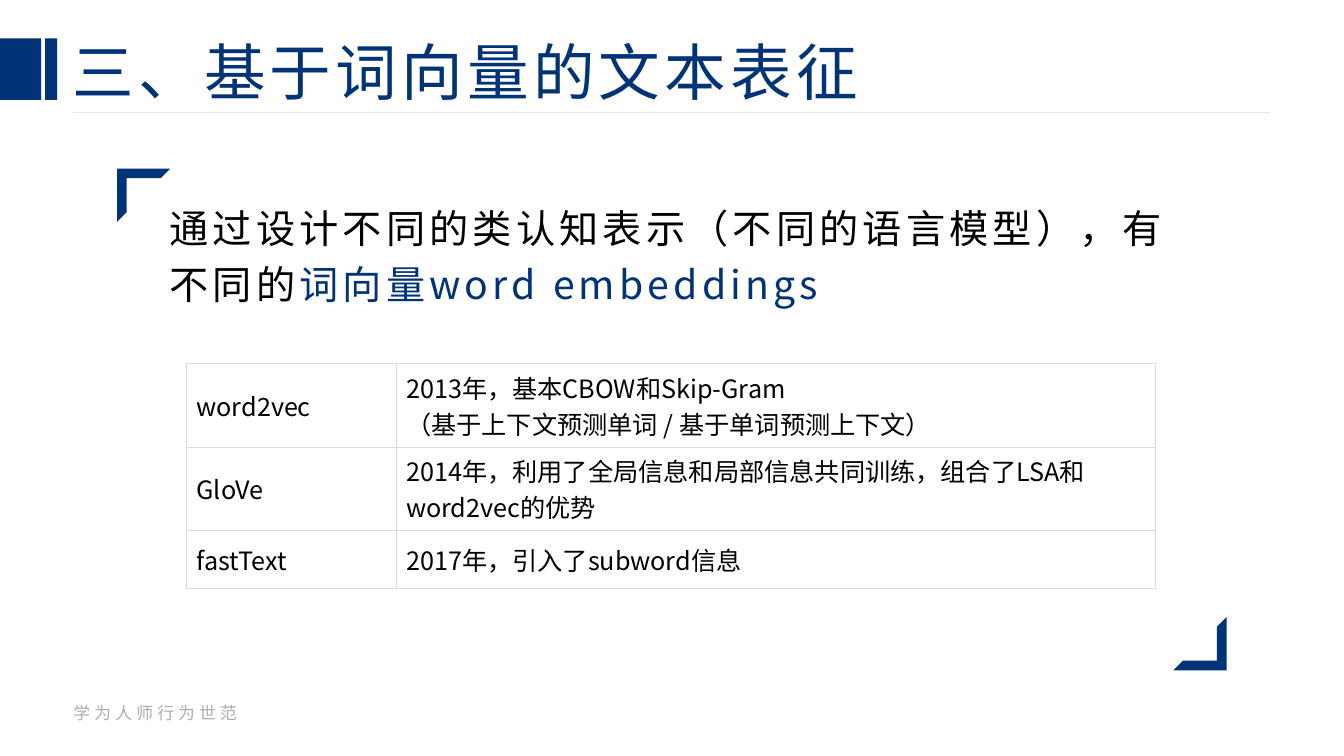
from lxml import etree
from pptx import Presentation
from pptx.dml.color import RGBColor
from pptx.enum.shapes import MSO_CONNECTOR, MSO_SHAPE
from pptx.enum.text import MSO_ANCHOR, MSO_AUTO_SIZE, PP_ALIGN
from pptx.oxml.ns import qn
from pptx.util import Cm, Pt

NAVY = RGBColor(0x00, 0x33, 0x78)
BLACK = RGBColor(0x00, 0x00, 0x00)
GRAY = RGBColor(0xAD, 0xAD, 0xAD)
RULE = RGBColor(0xE4, 0xE6, 0xEA)
BORDER = RGBColor(0xDB, 0xDB, 0xDB)
RECTANGLE = MSO_SHAPE.RECTANGLE
HALF_FRAME = MSO_SHAPE.HALF_FRAME
STRAIGHT = MSO_CONNECTOR.STRAIGHT
TOP, MIDDLE = MSO_ANCHOR.TOP, MSO_ANCHOR.MIDDLE
FIXED = MSO_AUTO_SIZE.NONE
LEFT = PP_ALIGN.LEFT

MODELS = [
    ("word2vec", ["2013年，基本CBOW和Skip-Gram", "（基于上下文预测单词 / 基于单词预测上下文）"]),
    ("GloVe", ["2014年，利用了全局信息和局部信息共同训练，组合了LSA和word2vec的优势"]),
    ("fastText", ["2017年，引入了subword信息"]),
]


class SlideBuilder:
    typeface = "Noto Sans CJK SC"

    def __init__(self, page):
        self.page = page

    def style(self, para, size, color, spacing=0):
        font = para.font
        font.name, font.size, font.color.rgb = self.typeface, Pt(size), color
        properties = font._element
        etree.SubElement(properties, qn("a:ea"), typeface=self.typeface)
        if spacing:
            properties.set("spc", str(spacing * 100))

    def frame(self, box, anchor):
        frame = box.text_frame
        frame.word_wrap = True
        frame.auto_size = FIXED
        frame.vertical_anchor = anchor
        frame.margin_left = frame.margin_right = 0
        frame.margin_top = frame.margin_bottom = 0
        return frame.paragraphs[0]

    def place(self, box, left, top, width, height):
        box.left, box.top = Cm(left), Cm(top)
        box.width, box.height = Cm(width), Cm(height)

    def title(self, text, *area):
        box = self.page.shapes.title
        self.place(box, *area)
        para = self.frame(box, MIDDLE)
        para.text = text
        para.alignment = LEFT
        para.line_spacing = 0.9
        self.style(para, 44, NAVY, spacing=3)

    def body(self, text, highlight, *area):
        box = self.page.placeholders[1]
        self.place(box, *area)
        para = self.frame(box, TOP)
        para.line_spacing = 1.2
        para.space_before = Pt(0)
        properties = para._p.get_or_add_pPr()
        properties.set("marL", "0")
        properties.set("indent", "0")
        etree.SubElement(properties, qn("a:buNone"))
        self.style(para, 28, BLACK, spacing=3)
        para.add_run().text = text
        span = para.add_run()
        span.text = highlight
        span.font.color.rgb = NAVY

    def footer(self, text, *area):
        box = self.page.shapes.add_textbox(*map(Cm, area))
        para = self.frame(box, TOP)
        para.text = text
        self.style(para, 12, GRAY, spacing=3)

    def shape(self, preset, *area):
        shape = self.page.shapes.add_shape(preset, *map(Cm, area))
        shape.shadow.inherit = False
        shape.fill.solid()
        shape.fill.fore_color.rgb = NAVY
        shape.line.fill.background()
        return shape

    def corner(self, left, top, rotation):
        shape = self.shape(HALF_FRAME, left, top, 1.34, 1.34)
        shape.adjustments[0] = shape.adjustments[1] = 0.18
        shape.rotation = rotation

    def rule(self, left, right, top):
        line = self.page.shapes.add_connector(STRAIGHT, Cm(left), Cm(top), Cm(right), Cm(top))
        line.line.color.rgb = RULE
        line.line.width = Pt(0.5)
        etree.SubElement(line._element.spPr, qn("a:effectLst"))

    def cell(self, cell, lines):
        cell.vertical_anchor = MIDDLE
        cell.text = "\n".join(lines)
        for para in cell.text_frame.paragraphs:
            self.style(para, 18, BLACK)
        properties = cell._tc.get_or_add_tcPr()
        for side in ("lnL", "lnR", "lnT", "lnB"):
            edge = etree.SubElement(properties, qn(f"a:{side}"), w=str(Pt(0.75)))
            fill = etree.SubElement(edge, qn("a:solidFill"))
            etree.SubElement(fill, qn("a:srgbClr"), val=str(BORDER))
        cell.fill.background()

    def table(self, rows, left, top, widths, heights):
        table = self.page.shapes.add_table(
            len(rows), len(widths), Cm(left), Cm(top), Cm(sum(widths)), Cm(sum(heights))
        ).table
        table.first_row = table.horz_banding = False
        for column, width in zip(table.columns, widths):
            column.width = Cm(width)
        for index, (name, lines) in enumerate(rows):
            table.rows[index].height = Cm(heights[index])
            self.cell(table.cell(index, 0), [name])
            self.cell(table.cell(index, 1), lines)


def main():
    deck = Presentation()
    deck.slide_width, deck.slide_height = Cm(33.87), Cm(19.05)
    builder = SlideBuilder(deck.slides.add_slide(deck.slide_layouts[1]))
    builder.shape(RECTANGLE, -0.03, 0.97, 1.07, 1.55)
    builder.shape(RECTANGLE, 1.14, 0.97, 0.3, 1.55)
    builder.rule(1.83, 32, 2.82)
    builder.footer("学为人师行为世范", 1.85, 17.7, 4.67, 0.51)
    builder.body(
        "通过设计不同的类认知表示（不同的语言模型），有不同的",
        "词向量word embeddings",
        4.27, 4.9, 25.27, 10.03,
    )
    builder.title("三、基于词向量的文本表征", 1.83, 0.97, 25.65, 1.85)
    builder.corner(2.95, 4.25, 0)
    builder.corner(29.57, 15.55, 180)
    builder.table(MODELS, 4.7, 9.17, [5.28, 19.13], [2.09, 2.09, 1.48])
    deck.save("out.pptx")


if __name__ == "__main__":
    main()
